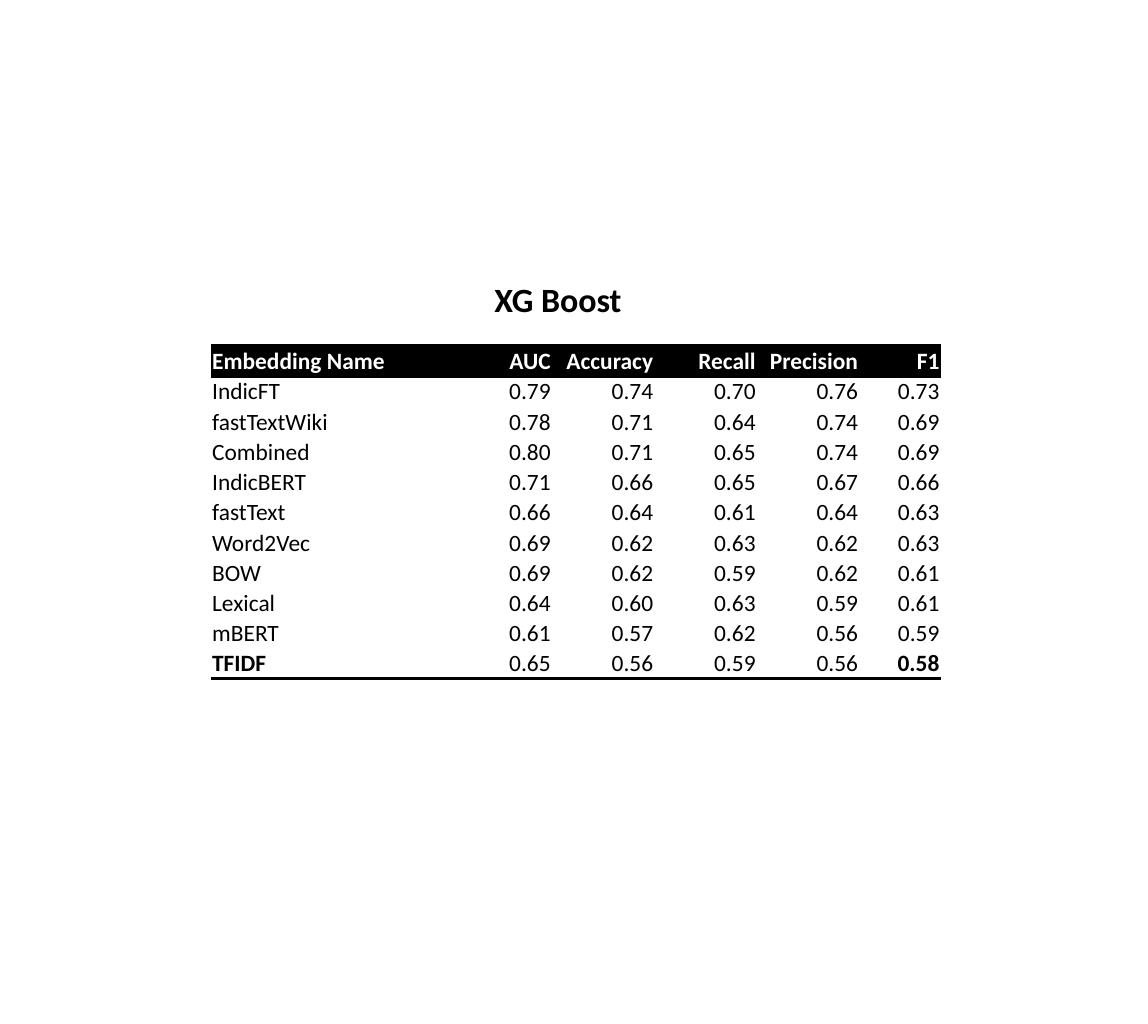
from lxml.etree import SubElement
from pptx import Presentation
from pptx.dml.color import RGBColor
from pptx.enum.text import MSO_ANCHOR as Anchor, MSO_AUTO_SIZE as AutoSize, PP_ALIGN as Align
from pptx.oxml.ns import qn
from pptx.util import Cm, Pt

COLORS = {"ink": "000000", "paper": "FFFFFF"}
FONT = "Calibri"
RULE_WIDTH = Pt(2)
COLUMN_WIDTHS = [3.96, 1.7, 1.7, 1.7, 1.7, 1.35]
SCORES = [
    ["Embedding Name", "AUC", "Accuracy", "Recall", "Precision", "F1"],
    ["IndicFT", "0.79", "0.74", "0.70", "0.76", "0.73"],
    ["fastTextWiki", "0.78", "0.71", "0.64", "0.74", "0.69"],
    ["Combined", "0.80", "0.71", "0.65", "0.74", "0.69"],
    ["IndicBERT", "0.71", "0.66", "0.65", "0.67", "0.66"],
    ["fastText", "0.66", "0.64", "0.61", "0.64", "0.63"],
    ["Word2Vec", "0.69", "0.62", "0.63", "0.62", "0.63"],
    ["BOW", "0.69", "0.62", "0.59", "0.62", "0.61"],
    ["Lexical", "0.64", "0.60", "0.63", "0.59", "0.61"],
    ["mBERT", "0.61", "0.57", "0.62", "0.56", "0.59"],
    ["TFIDF", "0.65", "0.56", "0.59", "0.56", "0.58"],
]


def add_span(para, text, size, color, bold):
    span = para.add_run()
    span.text = text
    span.font.name = FONT
    span.font.size = Pt(size)
    span.font.bold = bold
    span.font.color.rgb = RGBColor.from_string(COLORS[color])


def set_borders(cell, ruled_edges):
    """Draw a black rule on the given edges (L, R, T, B) and clear the others."""
    properties = cell._tc.get_or_add_tcPr()
    for edge in "LRTB":
        ruled = edge in ruled_edges
        line = SubElement(properties, qn(f"a:ln{edge}"), w=str(RULE_WIDTH if ruled else 0))
        fill = SubElement(line, qn("a:solidFill" if ruled else "a:noFill"))
        if ruled:
            SubElement(fill, qn("a:srgbClr"), val=COLORS["ink"])


def fill_cell(cell, text, align, color, background, bold, ruled_edges):
    cell.margin_left = cell.margin_right = cell.margin_top = Cm(0.02)
    cell.margin_bottom = 0
    cell.vertical_anchor = Anchor.BOTTOM
    set_borders(cell, ruled_edges)
    cell.fill.solid()
    cell.fill.fore_color.rgb = RGBColor.from_string(COLORS[background])
    para = cell.text_frame.paragraphs[0]
    para.alignment = align
    add_span(para, text, 11, color, bold)


def add_score_table(page):
    last_row, last_column = len(SCORES) - 1, len(COLUMN_WIDTHS) - 1
    table = page.shapes.add_table(
        len(SCORES), len(COLUMN_WIDTHS), Cm(3.5), Cm(5.74), Cm(sum(COLUMN_WIDTHS)), Cm(5.53)
    ).table
    table.horz_banding = False
    for column, width in zip(table.columns, COLUMN_WIDTHS):
        column.width = Cm(width)
    for row, values in enumerate(SCORES):
        header = row == 0
        color, background = ("paper", "ink") if header else ("ink", "paper")
        edges = "TB" if header else "B" if row == last_row else "T" if row == 1 else ""
        for column, text in enumerate(values):
            align = Align.RIGHT if column else Align.LEFT
            bold = header or (row == last_row and column in (0, last_column))
            fill_cell(table.cell(row, column), text, align, color, background, bold, edges)


def set_title(page, text):
    box = page.shapes.title
    box.left, box.top, box.width, box.height = Cm(4.04), Cm(4.5), Cm(10.44), Cm(0.94)
    frame = box.text_frame
    frame.word_wrap = True
    frame.auto_size = AutoSize.NONE
    frame.vertical_anchor = Anchor.TOP
    para = frame.paragraphs[0]
    para.alignment = Align.CENTER
    add_span(para, text, 16, "ink", True)


def main():
    deck = Presentation()
    deck.slide_width, deck.slide_height = Cm(19.05), Cm(17)
    page = deck.slides.add_slide(deck.slide_layouts[5])
    add_score_table(page)
    set_title(page, "XG Boost")
    deck.save("out.pptx")


if __name__ == "__main__":
    main()
